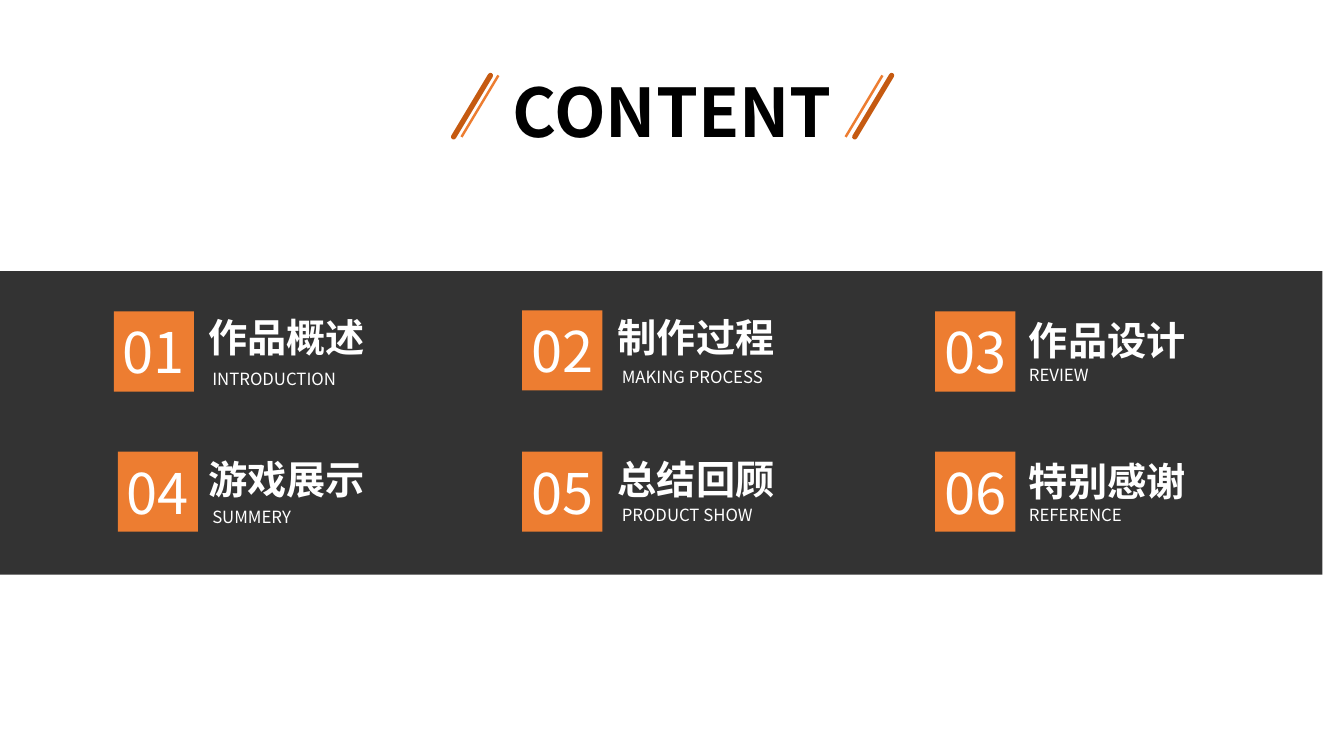
from lxml import etree
from pptx import Presentation
from pptx import util as u
from pptx.dml.color import RGBColor
from pptx.enum import shapes, text
from pptx.oxml.ns import qn

COLORS = {"black": "000000", "white": "FFFFFF", "orange": "ED7D31", "rust": "C55A11"}
FONT = "Noto Sans CJK SC"
TILE = 2.02  # side of a number tile, cm


def rgb(name):
    return RGBColor.from_string(COLORS[name])


class Deck:
    def __init__(self, width, height):
        self.prs = Presentation()
        self.prs.slide_width, self.prs.slide_height = u.Cm(width), u.Cm(height)
        self.s = self.prs.slides.add_slide(self.prs.slide_layouts[5])

    def set_text(self, sp, words, size, color="white", bold=False, align="LEFT",
                 anchor="TOP", wrap=True):
        tf = sp.text_frame
        tf.text = words
        tf.word_wrap = wrap
        tf.auto_size = text.MSO_AUTO_SIZE.NONE
        tf.vertical_anchor = getattr(text.MSO_ANCHOR, anchor)
        p = tf.paragraphs[0]
        p.alignment = getattr(text.PP_ALIGN, align)
        f = p.font
        f.name, f.size, f.bold = FONT, u.Pt(size), bold
        f.color.rgb = rgb(color)
        # East Asian typeface
        latin = f._element.find(qn("a:latin"))
        latin.addnext(etree.Element(qn("a:ea"), typeface=FONT))

    def title(self, words, x, y, w, h):
        sp = self.s.shapes.title
        sp.left, sp.top, sp.width, sp.height = map(u.Cm, (x, y, w, h))
        self.set_text(sp, words, 48, "black", True, "CENTER", wrap=False)

    def label(self, words, x, y, w, h, size, indent=0, **style):
        sp = self.s.shapes.add_textbox(*map(u.Cm, (x, y, w, h)))
        sp.text_frame.margin_left = u.Cm(0.25 + indent)
        self.set_text(sp, words, size, **style)

    def rect(self, x, y, w, h, color, opacity=100):
        sp = self.s.shapes.add_shape(shapes.MSO_SHAPE.RECTANGLE, *map(u.Cm, (x, y, w, h)))
        sp.shadow.inherit = False
        sp.line.fill.background()
        sp.fill.solid()
        sp.fill.fore_color.rgb = rgb(color)
        if opacity < 100:
            clr = sp._element.spPr.find(".//" + qn("a:srgbClr"))
            etree.SubElement(clr, qn("a:alpha"), val=str(opacity * 1000))
        return sp

    def tile(self, number, x, y):
        sp = self.rect(x, y, TILE, TILE, "orange")
        tf = sp.text_frame
        tf.margin_left = tf.margin_right = tf.margin_top = tf.margin_bottom = 0
        self.set_text(sp, number, 40, align="CENTER", anchor="MIDDLE")

    def slash(self, x, y, w, h, color, width, cap="flat"):
        c = self.s.shapes.add_connector(shapes.MSO_CONNECTOR.STRAIGHT,
                                        *map(u.Cm, (x + w, y, x, y + h)))
        c.line.color.rgb = rgb(color)
        c.line.width = u.Pt(width)
        c._element.spPr.find(qn("a:ln")).set("cap", cap)
        etree.SubElement(c._element.spPr, qn("a:effectLst"))


# Number, heading, caption, tile x and y, text x, heading y, caption y, caption indent
ENTRIES = [
    ("01", "作品概述", "INTRODUCTION", 2.87, 7.85, 5.0, 7.77, 9.17, 0.1),
    ("02", "制作过程", "MAKING PROCESS", 13.16, 7.82, 15.32, 7.77, 9.12, 0.1),
    ("03", "作品设计", "REVIEW", 23.57, 7.85, 25.68, 7.85, 9.07, 0),
    ("04", "游戏展示", "SUMMERY", 2.97, 11.38, 5.0, 11.33, 12.65, 0.1),
    ("05", "总结回顾", "PRODUCT SHOW", 13.16, 11.38, 15.32, 11.35, 12.6, 0.1),
    ("06", "特别感谢", "REFERENCE", 23.57, 11.38, 25.68, 11.38, 12.6, 0),
]


def main():
    deck = Deck(33.87, 19.05)

    # Dark band
    deck.rect(-0.66, 6.83, 33.99, 7.65, "black", 80)

    # Title between paired slashes
    deck.title("CONTENT", 12.4, 1.65, 9.09, 2.31)
    for x in (11.63, 21.31):
        deck.slash(x, 1.9, 0.93, 1.55, "orange", 1.75)
    for x in (11.43, 21.54):
        deck.slash(x, 1.9, 0.93, 1.55, "rust", 3.75, "rnd")

    # Six entries
    for number, heading, caption, x, y, text_x, heading_y, caption_y, indent in ENTRIES:
        deck.tile(number, x, y)
        deck.label(heading, text_x, heading_y, 5.33, 1.45, 28, bold=True, anchor="MIDDLE")
        deck.label(caption, text_x, caption_y, 4.6, 0.76, 12, indent)

    deck.prs.save("out.pptx")


if __name__ == "__main__":
    main()
